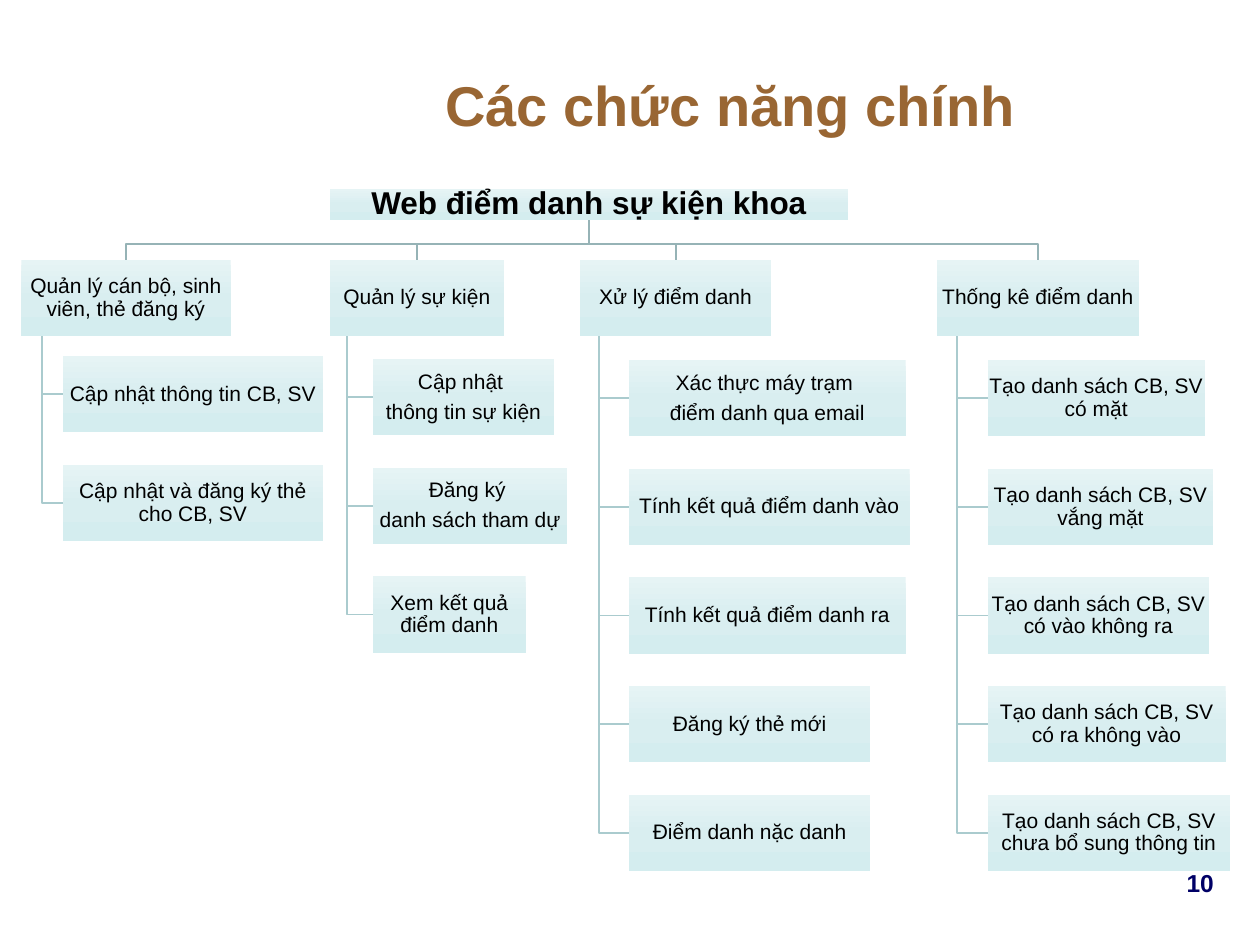
from copy import deepcopy

from pptx import Presentation
from pptx.dml.color import RGBColor
from pptx.enum.shapes import MSO_SHAPE
from pptx.enum.text import MSO_ANCHOR, PP_ALIGN
from pptx.util import Cm, Pt

RECTANGLE = MSO_SHAPE.RECTANGLE
MIDDLE = MSO_ANCHOR.MIDDLE
CENTER, RIGHT = PP_ALIGN.CENTER, PP_ALIGN.RIGHT

FONT = "Arial"
BOX_GRADIENT = ("E6F4F5", "D9EEF0", "D4EDEF")
TRUNK_COLOR, SPINE_COLOR = "96B3B6", "AACBCE"

# Chart geometry in cm
ROOT = (6.65, 3.81, 10.45, 0.62)
TRUNK_Y = 4.92
HEAD_TOP = 5.24
BOX_HEIGHT = 1.54
ROW_PITCH = 2.19

# Head text, head left, head width, child left, first child top,
# and the children as (lines, width)
BRANCHES = [
    ("Quản lý cán bộ, sinh viên, thẻ đăng ký", 0.43, 4.22, 1.27, 7.18, [
        (["Cập nhật thông tin CB, SV"], 5.24),
        (["Cập nhật và đăng ký thẻ cho CB, SV"], 5.24),
    ]),
    ("Quản lý sự kiện", 6.65, 3.51, 7.52, 7.24, [
        (["Cập nhật ", "thông tin sự kiện"], 3.65),
        (["Đăng ký ", "danh sách tham dự"], 3.92),
        (["Xem kết quả điểm danh"], 3.08),
    ]),
    ("Xử lý điểm danh", 11.69, 3.86, 12.68, 7.26, [
        (["Xác thực máy trạm ", "điểm danh qua email"], 5.58),
        (["Tính kết quả điểm danh vào"], 5.66),
        (["Tính kết quả điểm danh ra"], 5.58),
        (["Đăng ký thẻ mới"], 4.87),
        (["Điểm danh nặc danh"], 4.87),
    ]),
    ("Thống kê điểm danh", 18.89, 4.07, 19.91, 7.26, [
        (["Tạo danh sách CB, SV có mặt"], 4.38),
        (["Tạo danh sách CB, SV vắng mặt"], 4.55),
        (["Tạo danh sách CB, SV có vào không ra"], 4.47),
        (["Tạo danh sách CB, SV có ra không vào"], 4.8),
        (["Tạo danh sách CB, SV chưa bổ sung thông tin"], 4.89),
    ]),
]


def color(hex_code):
    return RGBColor.from_string(hex_code)


def add_text(paragraph, text, size, hex_code, bold=False, align=CENTER):
    paragraph.alignment = align
    run = paragraph.add_run()
    run.text = text
    run.font.name = FONT
    run.font.size = Pt(size)
    run.font.bold = bold
    run.font.color.rgb = color(hex_code)


def fill_gradient(shape):
    shape.fill.gradient()
    shape.fill.gradient_angle = 270
    first_stop = shape.fill.gradient_stops[0]._gs
    first_stop.addnext(deepcopy(first_stop))
    for index, (stop, hex_code) in enumerate(zip(shape.fill.gradient_stops, BOX_GRADIENT)):
        stop.position = index / 2
        stop.color.rgb = color(hex_code)


def add_box(slide, box, lines, size=12, bold=False):
    shape = slide.shapes.add_shape(RECTANGLE, *map(Cm, box))
    shape.shadow.inherit = False
    shape.line.fill.background()
    fill_gradient(shape)
    frame = shape.text_frame
    frame.word_wrap = True
    frame.vertical_anchor = MIDDLE
    frame.margin_left = frame.margin_right = Cm(0.02)
    frame.margin_top = frame.margin_bottom = Cm(0.02)
    for index, line in enumerate(lines):
        paragraph = frame.add_paragraph() if index else frame.paragraphs[0]
        paragraph.line_spacing = 0.9
        paragraph.space_after = Pt(0.35 * size)
        add_text(paragraph, line, size, "000000", bold)


def add_polyline(slide, points, hex_code):
    start, *rest = [(Cm(x), Cm(y)) for x, y in points]
    builder = slide.shapes.build_freeform(*start)
    builder.add_line_segments(rest, close=False)
    link = builder.convert_to_shape()
    link.shadow.inherit = False
    link.fill.background()
    link.line.color.rgb = color(hex_code)
    link.line.width = Pt(1)


def add_title(slide, box):
    title = slide.shapes.title
    title.left, title.top, title.width, title.height = map(Cm, box)
    title.text_frame.vertical_anchor = MIDDLE
    add_text(title.text_frame.paragraphs[0], "Các chức năng chính", 32, "996633", True)


def add_page_number(slide, box):
    frame = slide.shapes.add_textbox(*map(Cm, box)).text_frame
    frame.word_wrap = True
    add_text(frame.paragraphs[0], "10", 14, "000066", True, RIGHT)


def add_branch(slide, head, left, width, child_left, child_top, children):
    # Trunk from the root box down to the head
    root_left, root_top, root_width, root_height = ROOT
    root_x, head_x = root_left + root_width / 2, left + width / 2
    add_polyline(slide, [(root_x, root_top + root_height), (root_x, TRUNK_Y),
                         (head_x, TRUNK_Y), (head_x, HEAD_TOP)], TRUNK_COLOR)

    # The spine hangs a tenth of the way along the head
    spine_x = left + width / 10
    for row, (lines, child_width) in enumerate(children):
        top = child_top + row * ROW_PITCH
        child_y = top + BOX_HEIGHT / 2
        add_polyline(slide, [(spine_x, HEAD_TOP + BOX_HEIGHT), (spine_x, child_y),
                             (child_left, child_y)], SPINE_COLOR)
        add_box(slide, (child_left, top, child_width, BOX_HEIGHT), lines)

    add_box(slide, (left, HEAD_TOP, width, BOX_HEIGHT), [head])


def main():
    presentation = Presentation()
    presentation.slide_width, presentation.slide_height = Cm(25.4), Cm(19.05)
    slide = presentation.slides.add_slide(presentation.slide_layouts[5])
    add_title(slide, (4.88, 0.79, 19.69, 2.62))
    add_page_number(slide, (18.8, 17.37, 5.92, 1.55))
    for branch in BRANCHES:
        add_branch(slide, *branch)
    add_box(slide, ROOT, ["Web điểm danh sự kiện khoa"], 18, True)
    presentation.save("out.pptx")


if __name__ == "__main__":
    main()
